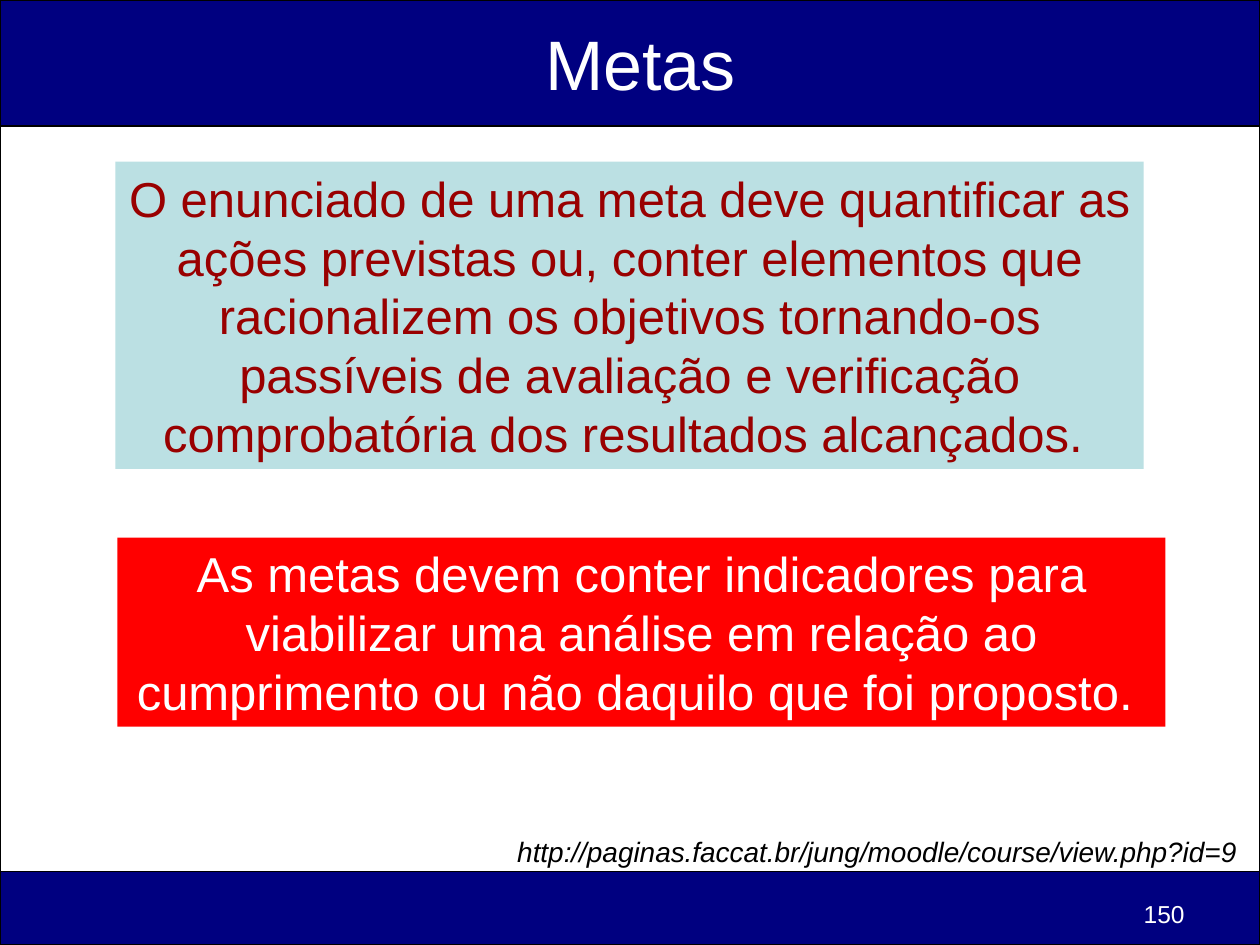
from dataclasses import dataclass

from pptx import Presentation
from pptx.dml.color import RGBColor
from pptx.enum.shapes import MSO_SHAPE
from pptx.enum.text import MSO_ANCHOR, PP_ALIGN
from pptx.util import Pt


@dataclass(frozen=True)
class Theme:
    font: str = "Arial"
    background: str = "E4E5FE"
    navy: str = "000080"
    white: str = "FFFFFF"
    black: str = "000000"
    pale_teal: str = "BBE0E3"
    dark_red: str = "990000"
    red: str = "FF0000"
    title_size: int = 40
    body_size: int = 28
    source_size: int = 16
    number_size: int = 14


THEME = Theme()
WIDTH, HEIGHT = 720, 540
HEADER_H, FOOTER_H = 72, 42


def rgb(value):
    return RGBColor.from_string(value)


def write(shape, text, size, color, align, anchor=MSO_ANCHOR.TOP, wrap=True, italic=False):
    tf = shape.text_frame
    tf.word_wrap = wrap
    tf.vertical_anchor = anchor
    p = tf.paragraphs[0]
    p.text = text
    p.alignment = align
    p.font.name = THEME.font
    p.font.size = Pt(size)
    p.font.italic = italic
    p.font.color.rgb = rgb(color)


def add_box(s, box, fill, line=None):
    sp = s.shapes.add_shape(MSO_SHAPE.RECTANGLE, *map(Pt, box))
    sp.shadow.inherit = False
    sp.fill.solid()
    sp.fill.fore_color.rgb = rgb(fill)
    if line:
        sp.line.color.rgb = rgb(line)
        sp.line.width = Pt(1)
    else:
        sp.line.fill.background()
    return sp


def add_label(s, box, text, size, color, align, **options):
    sp = s.shapes.add_textbox(*map(Pt, box))
    write(sp, text, size, color, align, **options)


def add_statement(s, box, text, fill, color):
    sp = add_box(s, box, fill)
    write(sp, text, THEME.body_size, color, PP_ALIGN.CENTER, MSO_ANCHOR.MIDDLE)


def add_header(s, box, text):
    left, top, width, height = box
    add_box(s, box, THEME.navy, THEME.black)
    title = s.shapes.title
    title.left, title.top = Pt(left + 78), Pt(top)
    title.width, title.height = Pt(width - 144), Pt(height)
    write(title, text, THEME.title_size, THEME.white, PP_ALIGN.CENTER, MSO_ANCHOR.MIDDLE)
    # Bring the title in front of its band
    s.shapes._spTree.append(title._element)


def add_body(s, box):
    left, top, width, height = box
    add_box(s, box, THEME.white, THEME.black)
    add_statement(
        s, (left + 66, top + 20.4, 587.5, 175.5),
        "O enunciado de uma meta deve quantificar as ações previstas ou, conter "
        "elementos que racionalizem os objetivos tornando-os passíveis de avaliação "
        "e verificação comprobatória dos resultados alcançados. ",
        THEME.pale_teal, THEME.dark_red)
    add_statement(
        s, (left + 67, top + 235.3, 599, 108),
        "As metas devem conter indicadores para viabilizar uma análise em relação "
        "ao cumprimento ou não daquilo que foi proposto. ",
        THEME.red, THEME.white)


def add_footer(s, box, source, number):
    left, top, width, height = box
    add_box(s, box, THEME.navy, THEME.black)
    # Source address just above the band
    add_label(s, (left + 288.5, top - 24.5, 426.5, 26.5), source,
              THEME.source_size, THEME.black, PP_ALIGN.LEFT, wrap=False, italic=True)
    # Page number
    add_label(s, (left + width - 204, top + 12, 168, 19.5), number,
              THEME.number_size, THEME.white, PP_ALIGN.RIGHT)


def main():
    prs = Presentation()
    prs.slide_width, prs.slide_height = Pt(WIDTH), Pt(HEIGHT)
    s = prs.slides.add_slide(prs.slide_layouts[5])
    s.background.fill.solid()
    s.background.fill.fore_color.rgb = rgb(THEME.background)

    footer_top = HEIGHT - FOOTER_H
    add_body(s, (0, HEADER_H, WIDTH, footer_top - HEADER_H))
    add_header(s, (0, 0, WIDTH, HEADER_H), "Metas")
    add_footer(s, (0, footer_top, WIDTH, FOOTER_H),
               "http://paginas.faccat.br/jung/moodle/course/view.php?id=9", "150")
    prs.save("out.pptx")


if __name__ == "__main__":
    main()
